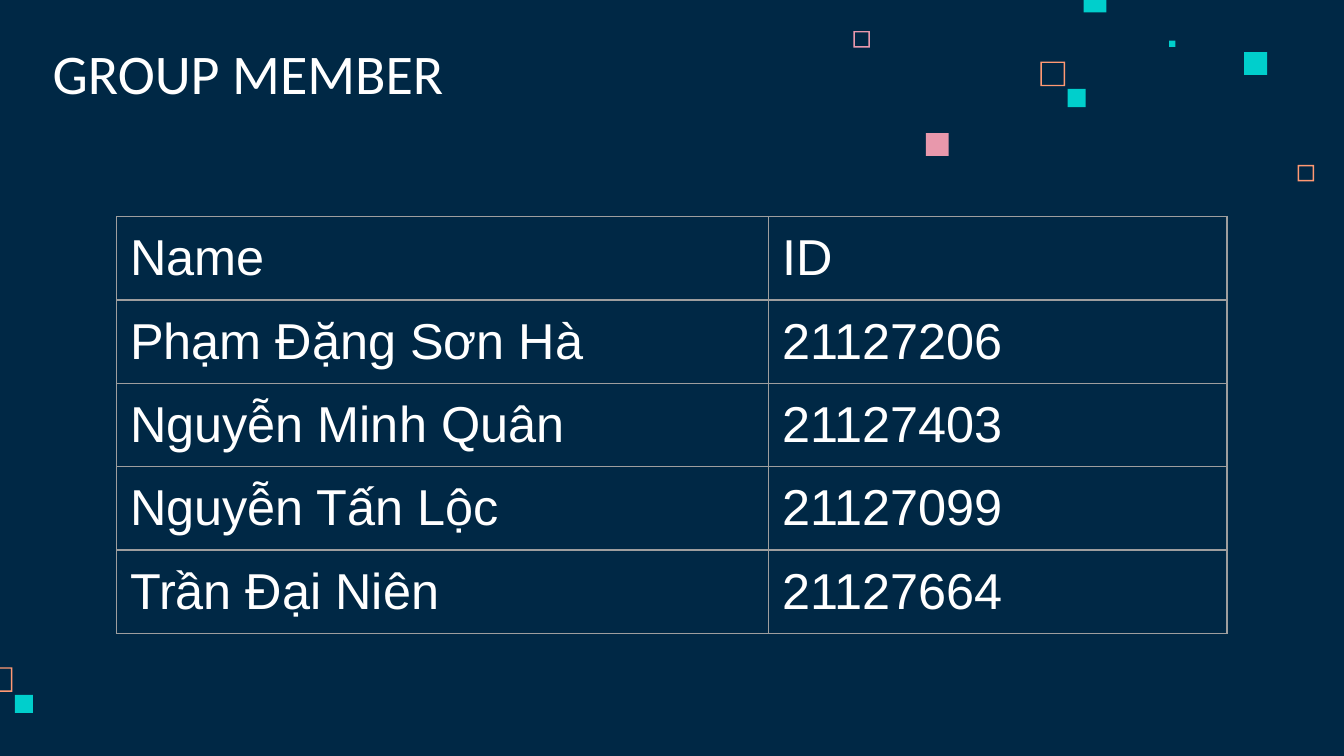
"""Build the group member slide: a title, a two-column table and scattered squares."""
from dataclasses import dataclass

from lxml import etree
from pptx import Presentation
from pptx.dml.color import RGBColor
from pptx.enum import shapes, text
from pptx.oxml import ns
from pptx.util import Pt


@dataclass(frozen=True)
class Theme:
    background: str = "002845"
    ink: str = "FFFFFF"
    border: str = "9E9E9E"
    teal: str = "00CFCC"
    pink: str = "E898AC"
    orange: str = "FF9973"
    title_font: str = "Calibri"
    table_font: str = "Arial"
    title_size: int = 30
    table_size: int = 27
    line: float = 0.75
    inset: float = 7.2


theme = Theme()


def set_font(paragraph, name, size):
    paragraph.font.name = name
    paragraph.font.size = Pt(size)
    paragraph.font.bold = False
    paragraph.font.color.rgb = RGBColor.from_string(theme.ink)


def add_borders(cell):
    properties = cell._tc.get_or_add_tcPr()
    for side in ("a:lnL", "a:lnR", "a:lnT", "a:lnB"):
        line = etree.SubElement(properties, ns.qn(side), w=str(Pt(theme.line)))
        fill = etree.SubElement(line, ns.qn("a:solidFill"))
        etree.SubElement(fill, ns.qn("a:srgbClr"), val=theme.border)


presentation = Presentation()
presentation.slide_width = Pt(720)
presentation.slide_height = Pt(405)
slide = presentation.slides.add_slide(presentation.slide_layouts[5])
slide.background.fill.solid()
slide.background.fill.fore_color.rgb = RGBColor.from_string(theme.background)

FRAME = shapes.MSO_SHAPE.FRAME
SOLID = shapes.MSO_SHAPE.RECTANGLE
squares = [
    (FRAME, 695.2, 88.4, 8.8, theme.orange),
    (FRAME, 457.2, 16.7, 8.8, theme.pink),
    (FRAME, 557.4, 33, 13.2, theme.orange),
    (SOLID, 626.3, 21.8, 3.4, theme.teal),
    (SOLID, 580.5, -5.6, 12.3, theme.teal),
    (SOLID, 666.5, 27.9, 12.3, theme.teal),
    (SOLID, 572, 47.7, 9.7, theme.teal),
    (SOLID, 496, 71.3, 12.3, theme.pink),
    (FRAME, -6.6, 357.5, 13.2, theme.orange),
    (SOLID, 8, 372.3, 9.7, theme.teal),
]
for kind, left, top, size, color in squares:
    square = slide.shapes.add_shape(kind, Pt(left), Pt(top), Pt(size), Pt(size))
    square.shadow.inherit = False
    square.fill.solid()
    square.fill.fore_color.rgb = RGBColor.from_string(color)
    square.line.fill.background()
    if kind == FRAME:
        square.adjustments[0] = theme.line / size

title = slide.shapes.title
title.left, title.top, title.width, title.height = Pt(21), Pt(18.7), Pt(372), Pt(45.4)
frame = title.text_frame
frame.text = "GROUP MEMBER"
frame.word_wrap = True
frame.auto_size = text.MSO_AUTO_SIZE.NONE
frame.vertical_anchor = text.MSO_ANCHOR.BOTTOM
frame.margin_left = frame.margin_right = Pt(theme.inset)
frame.margin_top = frame.margin_bottom = Pt(theme.inset)
frame.paragraphs[0].alignment = text.PP_ALIGN.LEFT
set_font(frame.paragraphs[0], theme.title_font, theme.title_size)

members = [
    ("Name", "ID"),
    ("Phạm Đặng Sơn Hà", "21127206"),
    ("Nguyễn Minh Quân", "21127403"),
    ("Nguyễn Tấn Lộc", "21127099"),
    ("Trần Đại Niên", "21127664"),
]
column_widths = [349.4, 245.4]
row_height = 44.58
table = slide.shapes.add_table(
    len(members), len(column_widths), Pt(62.5), Pt(116),
    Pt(sum(column_widths)), Pt(row_height * len(members)),
).table
table.first_row = False
table.horz_banding = False
for column, width in zip(table.columns, column_widths):
    column.width = Pt(width)
for row, values in zip(table.rows, members):
    row.height = Pt(row_height)
    for cell, value in zip(row.cells, values):
        cell.text = value
        cell.margin_left = cell.margin_right = Pt(theme.inset)
        cell.margin_top = cell.margin_bottom = Pt(theme.inset)
        add_borders(cell)
        cell.fill.background()
        set_font(cell.text_frame.paragraphs[0], theme.table_font, theme.table_size)

presentation.save("out.pptx")
